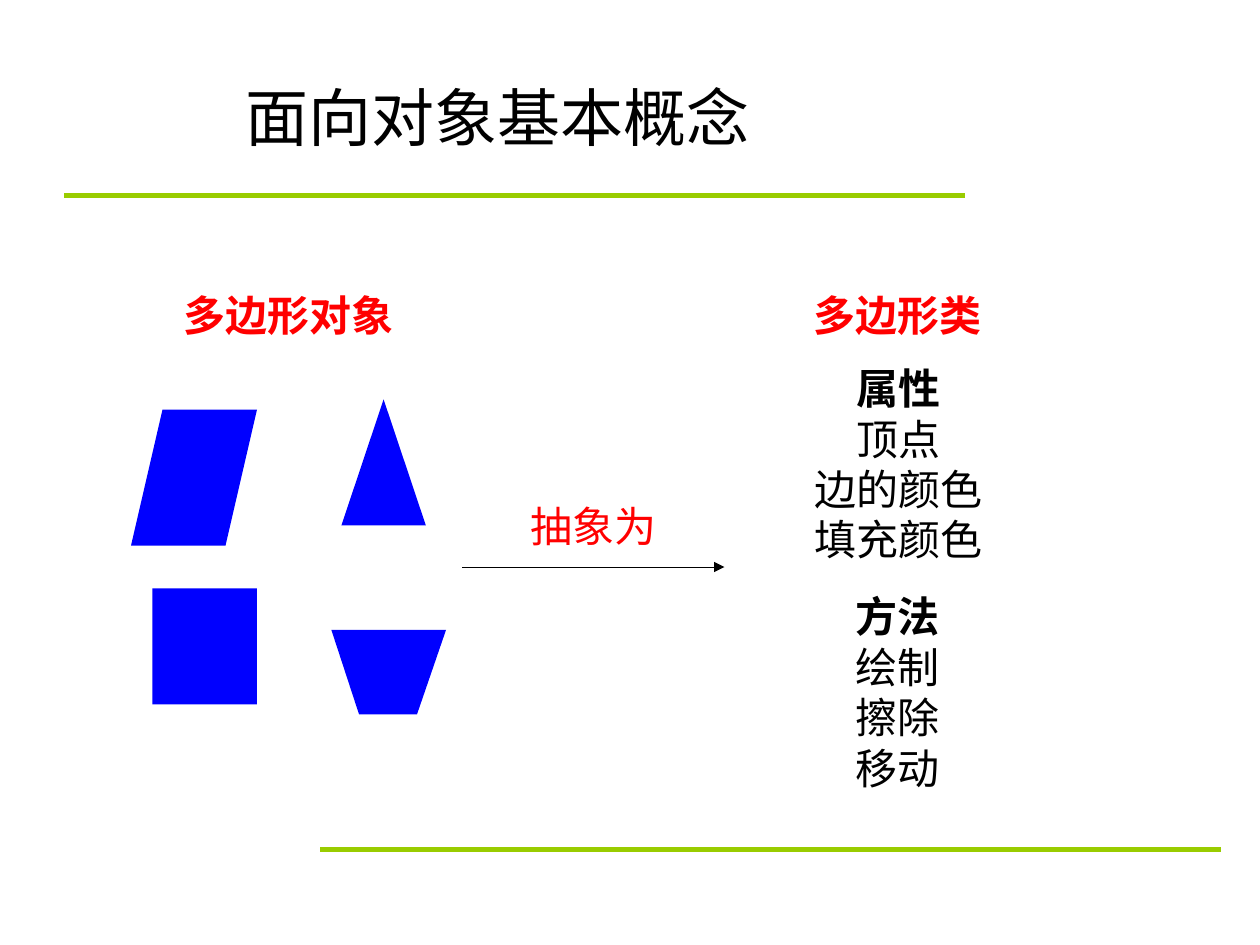
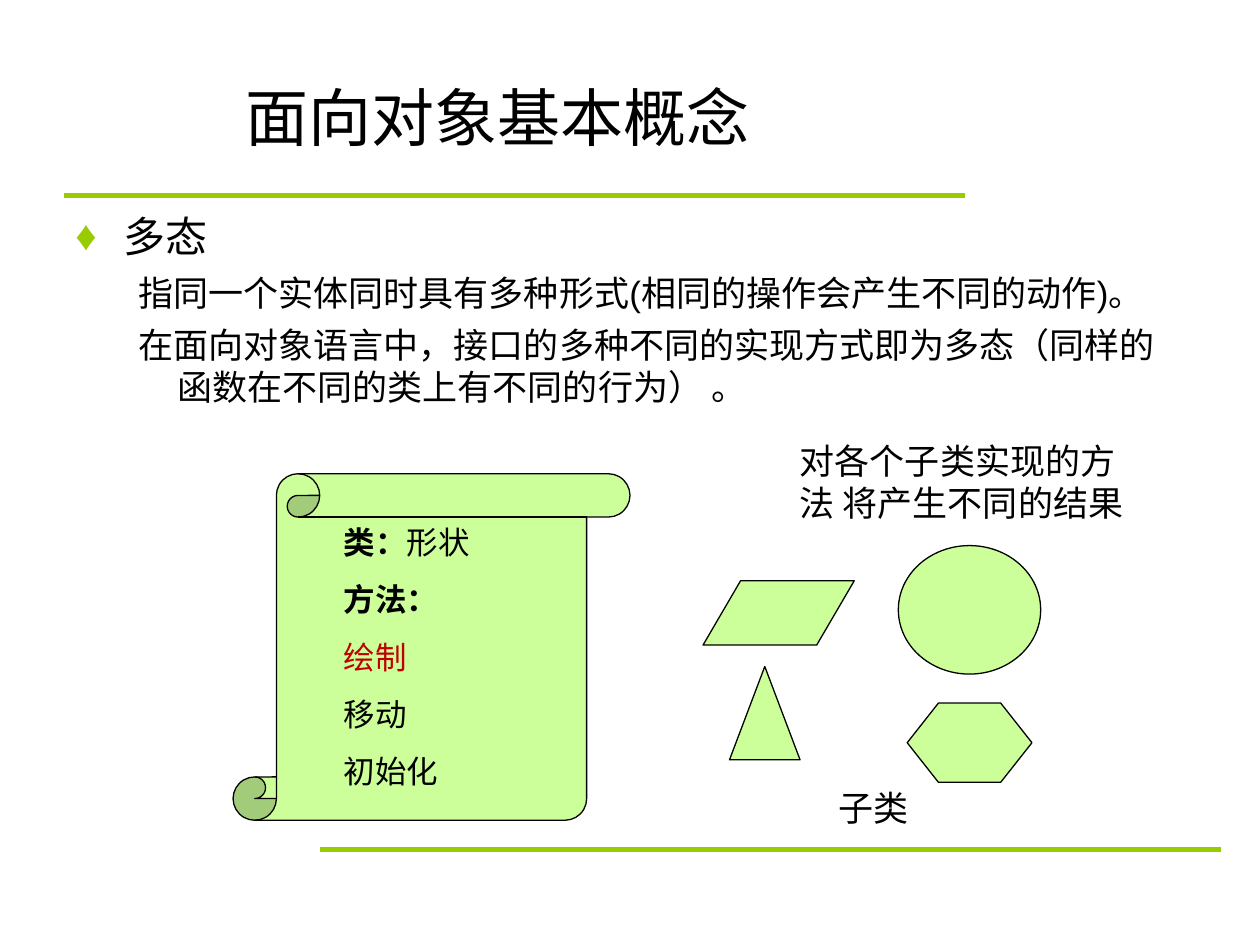
"""Build two slides on basic object-oriented concepts."""
from typing import NamedTuple, Optional

from lxml.etree import SubElement
from pptx import Presentation
from pptx.dml.color import RGBColor
from pptx.enum.shapes import MSO_CONNECTOR, MSO_SHAPE
from pptx.enum.text import MSO_ANCHOR, PP_ALIGN
from pptx.oxml.ns import qn
from pptx.util import Pt

PX = 9144
BLACK, RED, DARK_RED = "000000", "FF0000", "C00000"
BLUE, LIME, PALE_GREEN = "0000FF", "99CC00", "CCFF99"
TITLE = "面向对象基本概念"


class Box(NamedTuple):
    """A position and size in px."""
    left: int
    top: int
    width: int
    height: int


class Span(NamedTuple):
    """A run of text; a newline breaks the line."""
    text: str
    bold: bool = False
    color: str = BLACK


class Para(NamedTuple):
    """A paragraph with its spacing in points and indents in px."""
    spans: list[Span]
    size: int = 24
    before: float = 0
    after: float = 0
    margin: int = 0
    hanging: int = 0
    bullet: str = ""


class Label(NamedTuple):
    """A text box holding paragraphs in one font."""
    box: Box
    paras: list[Para]
    font: str
    align: PP_ALIGN = PP_ALIGN.LEFT
    anchor: MSO_ANCHOR = MSO_ANCHOR.TOP


class Figure(NamedTuple):
    """A preset shape with an optional adjustment."""
    kind: MSO_SHAPE
    box: Box
    adjust: Optional[float] = None


class Rule(NamedTuple):
    """A straight line between two points in px."""
    start: tuple[int, int]
    end: tuple[int, int]
    color: str
    weight: float
    arrow: bool = False


BANDS = [Rule((51, 155), (766, 155), LIME, 3), Rule((254, 674), (969, 674), LIME, 3)]
HEADING = Label(Box(185, 30, 765, 125), [Para([Span(TITLE)], 36)], "Arial",
                anchor=MSO_ANCHOR.MIDDLE)

POLYGONS = [
    Figure(MSO_SHAPE.PARALLELOGRAM, Box(104, 325, 100, 108), 0.25),
    Figure(MSO_SHAPE.ISOSCELES_TRIANGLE, Box(271, 317, 67, 100)),
    Figure(MSO_SHAPE.RECTANGLE, Box(121, 467, 83, 92)),
]
TRAPEZOID = [(263, 500), (285, 567), (331, 567), (354, 500)]
ABSTRACTION = Rule((367, 450), (575, 450), BLACK, 0.5, arrow=True)

SCROLL = Figure(MSO_SHAPE.VERTICAL_SCROLL, Box(185, 376, 315, 275), 0.125)
SUBCLASSES = [
    Figure(MSO_SHAPE.PARALLELOGRAM, Box(558, 461, 120, 51), 0.584),
    Figure(MSO_SHAPE.OVAL, Box(713, 433, 113, 102)),
    Figure(MSO_SHAPE.ISOSCELES_TRIANGLE, Box(579, 529, 56, 74)),
    Figure(MSO_SHAPE.HEXAGON, Box(720, 558, 99, 63), 0.394),
]
METHOD_LINES = [
    [Span("类：", True), Span("形状")],
    [Span("方法：", True)],
    [Span("绘制", color=DARK_RED)],
    [Span("移动")],
    [Span("初始化")],
]
EXPLANATIONS = [
    "指同一个实体同时具有多种形式(相同的操作会产生不同的动作)。",
    "在面向对象语言中，接口的多种不同的实现方式即为多态（同样的函数在不同的类上有不同的行为） 。",
]


def rgb(color: str) -> RGBColor:
    """Turn a hex string into a colour."""
    return RGBColor.from_string(color)


def emu(lengths) -> list[int]:
    """Scale px lengths to EMU."""
    return [length * PX for length in lengths]


def add_bullet(paragraph, mark: str) -> None:
    """Give a paragraph a lime bullet."""
    properties = paragraph._p.get_or_add_pPr()
    bullet_color = SubElement(properties, qn("a:buClr"))
    SubElement(bullet_color, qn("a:srgbClr"), val=LIME)
    SubElement(properties, qn("a:buFont"), typeface="Arial")
    SubElement(properties, qn("a:buChar"), char=mark)


def add_span(paragraph, span: Span, size: int, font: str) -> None:
    """Add the runs of one span, with its line breaks."""
    for index, line in enumerate(span.text.split("\n")):
        if index:
            paragraph.add_line_break()
        if not line:
            continue
        run = paragraph.add_run()
        run.text = line
        run.font.name, run.font.size, run.font.bold = font, Pt(size), span.bold
        run.font.color.rgb = rgb(span.color)


def draw_label(slide, label: Label) -> None:
    """Draw a text box."""
    frame = slide.shapes.add_textbox(*emu(label.box)).text_frame
    frame.word_wrap = True
    frame.vertical_anchor = label.anchor
    for index, para in enumerate(label.paras):
        paragraph = frame.add_paragraph() if index else frame.paragraphs[0]
        if para.bullet:
            add_bullet(paragraph, para.bullet)
        if para.margin:
            properties = paragraph._p.get_or_add_pPr()
            properties.set("marL", str(para.margin * PX))
            properties.set("indent", str(-para.hanging * PX))
        paragraph.alignment = label.align
        paragraph.space_before = Pt(para.before if index else 0)
        paragraph.space_after = Pt(para.after)
        for span in para.spans:
            add_span(paragraph, span, para.size, label.font)


def paint(shape, fill: str, outline: str = "") -> None:
    """Set the fill and outline of a shape."""
    shape.shadow.inherit = False
    shape.fill.solid()
    shape.fill.fore_color.rgb = rgb(fill)
    if outline:
        shape.line.color.rgb = rgb(outline)
        shape.line.width = Pt(0.75)
    else:
        shape.line.fill.background()


def draw_figure(slide, figure: Figure, fill: str, outline: str = "") -> None:
    """Draw a preset shape."""
    shape = slide.shapes.add_shape(figure.kind, *emu(figure.box))
    if figure.adjust is not None:
        shape.adjustments[0] = figure.adjust
    paint(shape, fill, outline)


def draw_outline(slide, corners: list[tuple[int, int]], fill: str) -> None:
    """Draw a closed polygon through its corners."""
    builder = slide.shapes.build_freeform(*corners[0], scale=PX)
    builder.add_line_segments(corners[1:], close=True)
    paint(builder.convert_to_shape(), fill)


def draw_rule(slide, rule: Rule) -> None:
    """Draw a straight line or arrow."""
    connector = slide.shapes.add_connector(
        MSO_CONNECTOR.STRAIGHT, *emu(rule.start + rule.end))
    connector.line.color.rgb = rgb(rule.color)
    connector.line.width = Pt(rule.weight)
    if rule.arrow:
        SubElement(connector.line._get_or_add_ln(), qn("a:tailEnd"), type="triangle")
    SubElement(connector._element.spPr, qn("a:effectLst"))


def add_page(deck):
    """Add a slide with the shared bands and heading."""
    slide = deck.slides.add_slide(deck.slide_layouts[6])
    for band in BANDS:
        draw_rule(slide, band)
    draw_label(slide, HEADING)
    return slide


def centred(box: Box, spans: list[Span], font: str, size: int = 24) -> Label:
    """Describe a centred one-paragraph label."""
    return Label(box, [Para(spans, size)], font, PP_ALIGN.CENTER)


def build_abstraction(deck) -> None:
    """Show polygon objects abstracted into a class."""
    slide = add_page(deck)
    for polygon in POLYGONS:
        draw_figure(slide, polygon, BLUE)
    draw_outline(slide, TRAPEZOID, BLUE)
    draw_rule(slide, ABSTRACTION)
    captions = [
        (Box(108, 225, 242, 50), Span("多边形对象", True, RED)),
        (Box(550, 225, 325, 50), Span("多边形类", True, RED)),
        (Box(367, 392, 208, 50), Span("抽象为", False, RED)),
    ]
    for box, caption in captions:
        draw_label(slide, centred(box, [caption], "Times New Roman"))
    members = [
        (Box(592, 283, 242, 170), "属性\n", "顶点\n边的颜色\n填充颜色"),
        (Box(621, 464, 183, 170), "方法\n", "绘制\n擦除\n移动"),
    ]
    for box, heading, names in members:
        draw_label(slide, centred(box, [Span(heading, True), Span(names)], "Arial"))


def build_polymorphism(deck) -> None:
    """Show one class whose methods differ across subclasses."""
    slide = add_page(deck)
    topic = Para([Span("多态")], after=6, margin=38, hanging=38, bullet="♦")
    details = [Para([Span(text)], 20, after=6, margin=81, hanging=31)
               for text in EXPLANATIONS]
    draw_label(slide, Label(Box(50, 162, 900, 508), [topic, *details], "Arial"))
    for figure in [SCROLL, *SUBCLASSES]:
        draw_figure(slide, figure, PALE_GREEN, BLACK)
    methods = [Para(spans, 18, before=11.2) for spans in METHOD_LINES]
    draw_label(slide, Label(Box(263, 410, 206, 268), methods, "Lato"))
    draw_label(slide, centred(Box(595, 619, 197, 44), [Span("子类")], "Lato", 20))
    result = Para([Span("对各个子类实现的方法 将产生不同的结果")], 20)
    draw_label(slide, Label(Box(625, 344, 293, 77), [result], "Noto Sans CJK SC"))


def main() -> None:
    """Build and save the deck."""
    deck = Presentation()
    deck.slide_width, deck.slide_height = emu((1000, 750))
    build_abstraction(deck)
    build_polymorphism(deck)
    deck.save("out.pptx")


if __name__ == "__main__":
    main()
